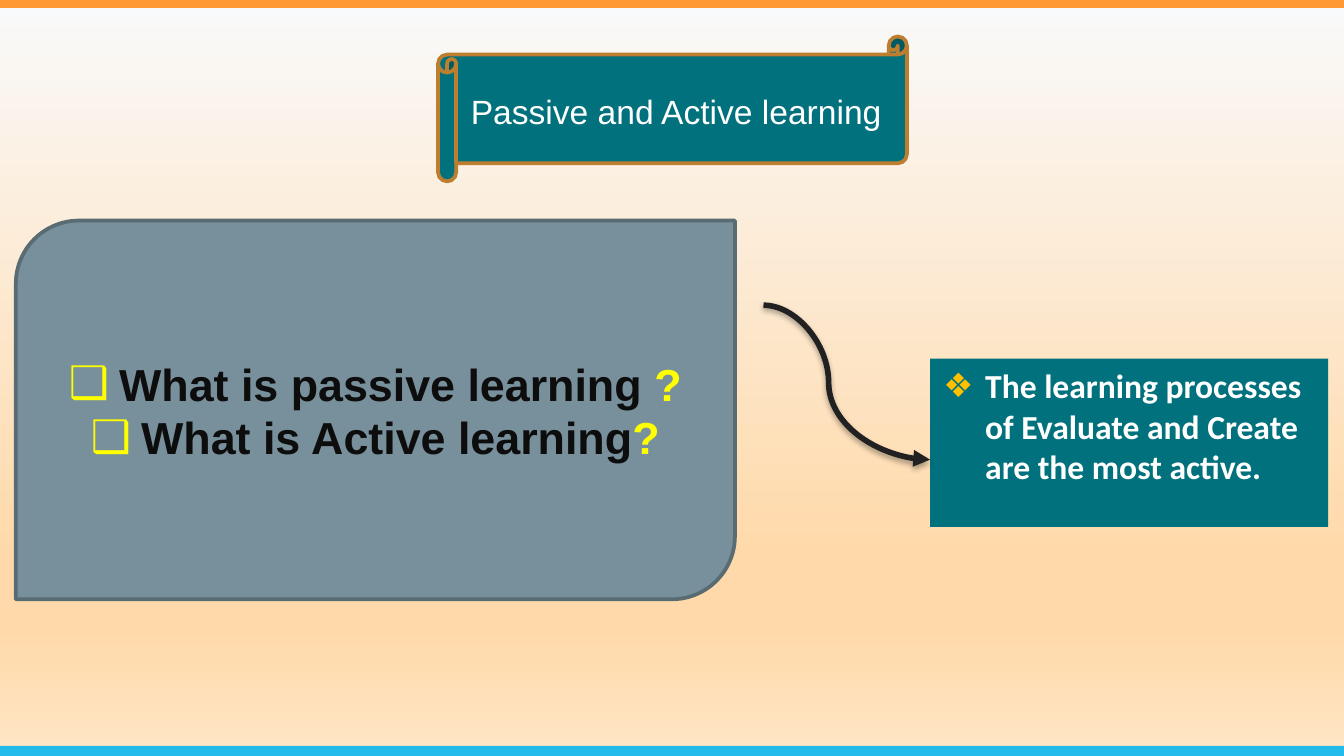
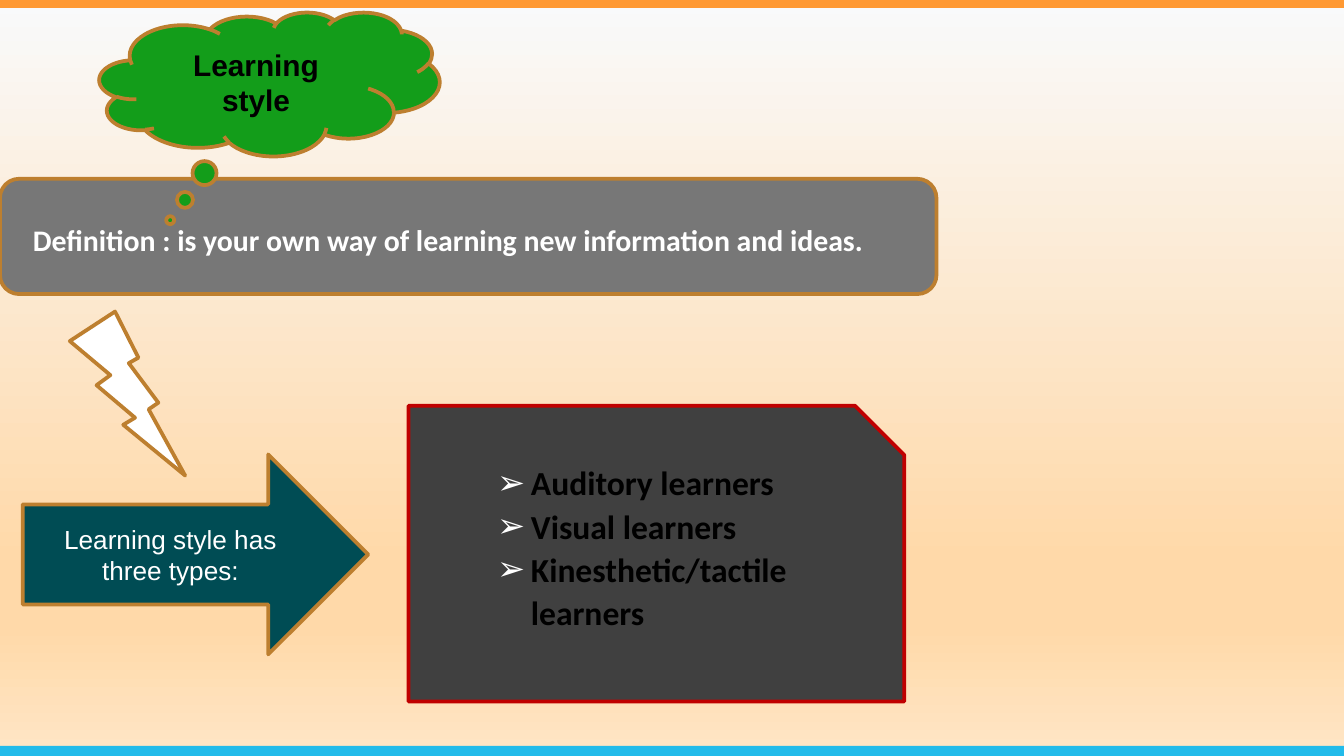
from dataclasses import dataclass

from lxml import etree
from pptx import Presentation
from pptx.dml.color import RGBColor
from pptx.enum.shapes import MSO_CONNECTOR, MSO_SHAPE
from pptx.enum.text import MSO_ANCHOR, MSO_AUTO_SIZE, PP_ALIGN
from pptx.oxml.ns import qn
from pptx.util import Cm, Pt

RECTANGLE = MSO_SHAPE.RECTANGLE
SCROLL = MSO_SHAPE.HORIZONTAL_SCROLL
DIAGONAL_ROUND = MSO_SHAPE.ROUND_2_DIAG_RECTANGLE
ROUNDED = MSO_SHAPE.ROUNDED_RECTANGLE
CLOUD = MSO_SHAPE.CLOUD_CALLOUT
ARROW = MSO_SHAPE.RIGHT_ARROW
SNIPPED = MSO_SHAPE.SNIP_1_RECTANGLE
BOLT = MSO_SHAPE.LIGHTNING_BOLT
CURVE = MSO_CONNECTOR.CURVE
LEFT, CENTER = PP_ALIGN.LEFT, PP_ALIGN.CENTER
TOP, MIDDLE = MSO_ANCHOR.TOP, MSO_ANCHOR.MIDDLE
NO_AUTOFIT = MSO_AUTO_SIZE.NONE

WIDTH, HEIGHT = 25.4, 14.29
TITLE_LAYOUT, LIST_LAYOUT = 5, 1
TEAL, BRONZE, WHITE, BLACK, YELLOW = "00717D", "BD7F2F", "FFFFFF", "000000", "FFFF00"
BACKGROUND_STOPS = [(0, "F9FAFB"), (74, "FFD9A9"), (83, "FFD9A9"), (100, "FFE6C6")]


@dataclass(frozen=True)
class Box:
    """Position and size in centimetres."""
    left: float
    top: float
    width: float
    height: float

    def lengths(self) -> list:
        return [Cm(value) for value in (self.left, self.top, self.width, self.height)]


@dataclass(frozen=True)
class Panel:
    kind: int
    box: Box
    fill: str
    line: str | None = BRONZE
    adjustments: tuple = ()


@dataclass(frozen=True)
class Bullet:
    symbol: str
    color: str
    margin: float
    hanging: float


@dataclass(frozen=True)
class TextStyle:
    size: float
    font: str = "Arial"
    color: str = WHITE
    bold: bool = False
    align: int = CENTER
    anchor: int = MIDDLE
    bullet: Bullet | None = None
    spacing: float = 1.0
    mark_color: str | None = None  # colour of a closing question mark


def rgb(color: str) -> RGBColor:
    return RGBColor.from_string(color)


def add_xml(parent, tag: str, **attributes):
    return etree.SubElement(parent, qn(tag), attributes)


def add_color(parent, color: str):
    return add_xml(parent, "a:srgbClr", val=color)


# Text

def add_bullet(paragraph, bullet: Bullet) -> None:
    properties = paragraph._p.get_or_add_pPr()
    properties.set("marL", str(Cm(bullet.margin)))
    properties.set("indent", str(-Cm(bullet.hanging)))
    add_color(add_xml(properties, "a:buClr"), bullet.color)
    add_xml(properties, "a:buFont", typeface="Arial")
    add_xml(properties, "a:buChar", char=bullet.symbol)


def write_text(shape, lines: list[str], style: TextStyle) -> None:
    frame = shape.text_frame
    frame.word_wrap = True
    frame.auto_size = NO_AUTOFIT
    frame.vertical_anchor = style.anchor
    for index, line in enumerate(lines):
        paragraph = frame.add_paragraph() if index else frame.paragraphs[0]
        paragraph.alignment = style.align
        paragraph.line_spacing = style.spacing
        paragraph.space_before = Pt(0)
        if style.bullet:
            add_bullet(paragraph, style.bullet)
        font = paragraph.font
        font.name, font.size, font.bold = style.font, Pt(style.size), style.bold
        font.color.rgb = rgb(style.color)
        if style.mark_color:
            paragraph.add_run().text = line.removesuffix("?")
            mark = paragraph.add_run()
            mark.text = "?"
            mark.font.color.rgb = rgb(style.mark_color)
        else:
            paragraph.add_run().text = line


# Shapes

def add_panel(slide, panel: Panel):
    shape = slide.shapes.add_shape(panel.kind, *panel.box.lengths())
    shape.shadow.inherit = False
    shape.fill.solid()
    shape.fill.fore_color.rgb = rgb(panel.fill)
    if panel.line:
        shape.line.color.rgb = rgb(panel.line)
        shape.line.width = Pt(2)
    else:
        shape.line.fill.background()
    for index, value in enumerate(panel.adjustments):
        shape.adjustments[index] = value
    return shape


def fill_placeholder(slide, placeholder, box: Box, lines: list[str], style: TextStyle) -> None:
    """Move a placeholder in front of the shapes drawn so far and fill it."""
    placeholder.left, placeholder.top, placeholder.width, placeholder.height = box.lengths()
    slide.shapes.element.append(placeholder.element)
    write_text(placeholder, lines, style)


def fill_title(slide, box: Box, text: str, style: TextStyle) -> None:
    title = slide.shapes.title
    fill_placeholder(slide, title, box, [text], style)
    frame = title.text_frame
    frame.margin_left = frame.margin_right = 0


def add_curved_arrow(slide, start: tuple, end: tuple, bend: float) -> None:
    connector = slide.shapes.add_connector(CURVE, *(Cm(value) for value in start + end))
    connector.line.color.rgb = rgb("212121")
    connector.line.width = Pt(3)
    add_xml(connector.line._get_or_add_ln(), "a:tailEnd", type="triangle")
    properties = connector.element.spPr
    guides = properties.find(qn("a:prstGeom")).get_or_add_avLst()
    add_xml(guides, "a:gd", name="adj1", fmla=f"val {round(bend * 100000)}")
    shadow = add_xml(add_xml(properties, "a:effectLst"), "a:outerShdw",
                     blurRad=str(Pt(3.1)), dist=str(Pt(1.8)), dir="5400000", rotWithShape="0")
    add_xml(add_color(shadow, BLACK), "a:alpha", val="35000")


# Master: background and bands

def format_master(presentation, slide) -> None:
    master = presentation.slide_master
    fill = master.background.fill
    fill.gradient()
    fill.gradient_angle = 270
    stops = master.element.xpath(".//p:bgPr/a:gradFill/a:gsLst")[0]
    for stop in list(stops):
        stops.remove(stop)
    for percent, color in BACKGROUND_STOPS:
        add_color(add_xml(stops, "a:gs", pos=str(percent * 1000)), color)

    bands = [Panel(RECTANGLE, Box(0, 14.1, WIDTH, 0.19), "22BBEA", None),
             Panel(RECTANGLE, Box(0, 0, WIDTH, 0.15), "FF9933", None)]
    for index, band in enumerate(bands):
        element = add_panel(slide, band).element
        element.nvSpPr.cNvPr.set("id", str(100 + index))
        master.shapes.element.insert(2 + index, element)


# Slides

def build_passive_and_active(slide) -> None:
    add_panel(slide, Panel(SCROLL, Box(8.28, 0.69, 8.86, 2.74), TEAL))
    fill_title(slide, Box(8.64, 1, 8.28, 2.2), "Passive and Active learning", TextStyle(18))

    questions = add_panel(slide, Panel(DIAGONAL_ROUND, Box(0.3, 4.17, 13.59, 7.16),
                                       "78909C", "596B73"))
    write_text(questions, ["What is passive learning ?", "What is Active learning?"],
               TextStyle(24, color="0D0D0D", bold=True, mark_color=YELLOW,
                         bullet=Bullet("❑", YELLOW, 0.95, 0.95)))

    answer = add_panel(slide, Panel(RECTANGLE, Box(17.58, 6.78, 7.52, 3.18), TEAL, None))
    write_text(answer, ["The learning processes of Evaluate and Create are the most active."],
               TextStyle(18, "Calibri", bold=True, align=LEFT, anchor=TOP,
                         bullet=Bullet("❖", "FFC000", 0.79, 0.79)))
    add_curved_arrow(slide, (14.43, 5.77), (17.58, 8.69), 0.391)


def build_learning_style(slide) -> None:
    definition = add_panel(slide, Panel(ROUNDED, Box(0, 3.38, 17.7, 2.18), "777777"))
    write_text(definition,
               ["Definition : is your own way of learning new information and ideas."],
               TextStyle(16, "Calibri", bold=True))
    definition.text_frame.margin_right = Cm(1)
    definition.text_frame.margin_top = Cm(0.25)

    add_panel(slide, Panel(CLOUD, Box(1.88, 0.23, 6.43, 2.72), "139D1A",
                           adjustments=(-0.292, 0.946)))
    fill_title(slide, Box(3.14, 0.55, 3.4, 2), "Learning style",
               TextStyle(16, color=BLACK, bold=True))

    types_arrow = add_panel(slide, Panel(ARROW, Box(0.43, 8.59, 6.53, 3.78), "004C54"))
    write_text(types_arrow, ["Learning style has three types:"], TextStyle(14))

    add_panel(slide, Panel(SNIPPED, Box(7.72, 7.67, 9.37, 5.59), "404040", "C00000"))
    add_panel(slide, Panel(BOLT, Box(1.32, 5.89, 2.18, 3.1), WHITE))
    fill_placeholder(slide, slide.placeholders[1], Box(5.33, 8.56, 11.79, 3.51),
                     ["Auditory learners", "Visual learners", "Kinesthetic/tactile learners"],
                     TextStyle(18, "Calibri", BLACK, True, LEFT, TOP,
                               Bullet("➢", WHITE, 4.45, 0.64), 1.07))


def main() -> None:
    presentation = Presentation()
    presentation.slide_width, presentation.slide_height = Cm(WIDTH), Cm(HEIGHT)
    layouts = presentation.slide_layouts
    first_slide = presentation.slides.add_slide(layouts[TITLE_LAYOUT])
    format_master(presentation, first_slide)
    build_passive_and_active(first_slide)
    build_learning_style(presentation.slides.add_slide(layouts[LIST_LAYOUT]))
    presentation.save("out.pptx")


if __name__ == "__main__":
    main()
